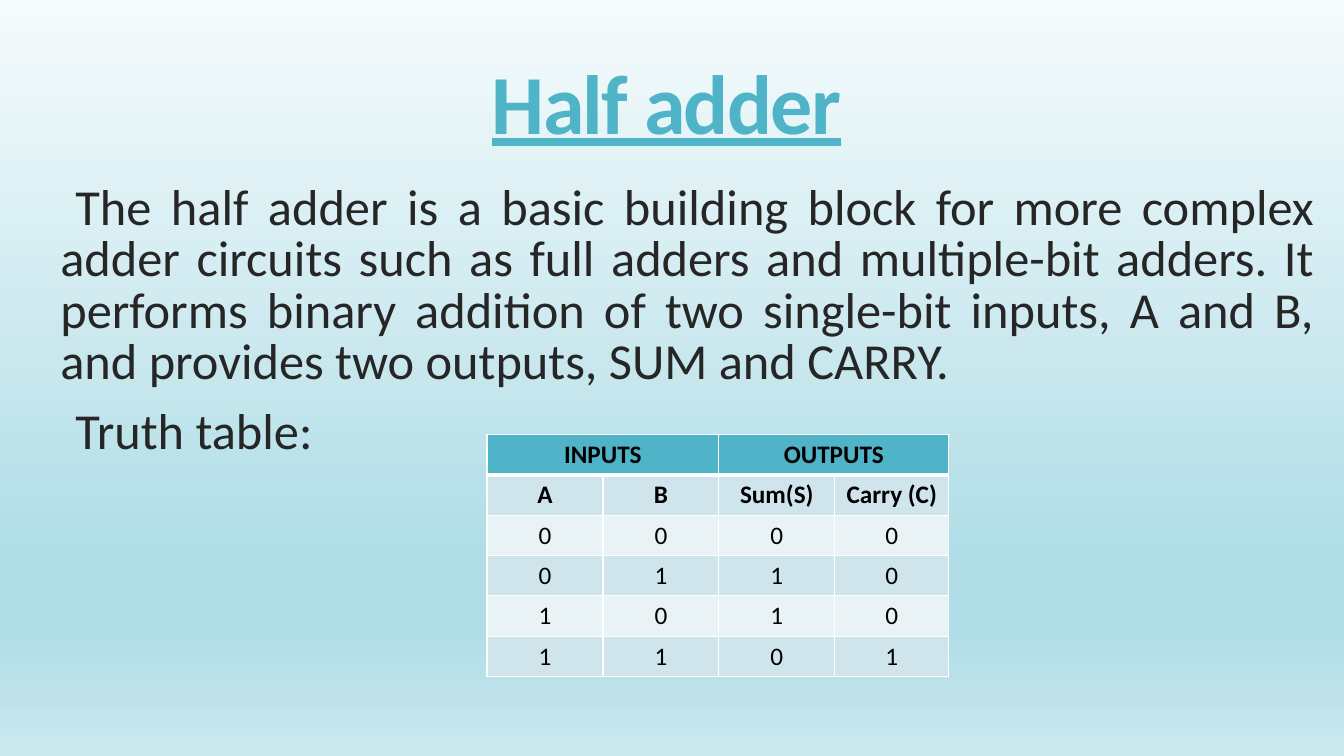
import lxml.etree
import pptx
import pptx.dml.color
import pptx.enum.text
import pptx.oxml.ns
import pptx.util

Inches = pptx.util.Inches
Pt = pptx.util.Pt
qn = pptx.oxml.ns.qn
Align = pptx.enum.text.PP_ALIGN
Anchor = pptx.enum.text.MSO_ANCHOR

COLORS = {
    "accent": "50B4C8",
    "body": "262626",
    "black": "000000",
    "border": "FFFFFF",
    "band_dark": "D0E5EB",
    "band_light": "E9F2F5",
    "sky_top": "F6FBFC",
    "sky_deep": "B0DDE6",
    "sky_bottom": "CBE8EE",
}
SKY = [(0, "sky_top"), (74, "sky_deep"), (83, "sky_deep"), (100, "sky_bottom")]

DEFINITION = (
    "The half adder is a basic building block for more complex adder circuits "
    "such as full adders and multiple-bit adders. It performs binary addition of "
    "two single-bit inputs, A and B, and provides two outputs, SUM and CARRY."
)
TRUTH_TABLE = [
    ["INPUTS", "", "OUTPUTS", ""],
    ["A", "B", "Sum(S)", "Carry (C)"],
    ["0", "0", "0", "0"],
    ["0", "1", "1", "0"],
    ["1", "0", "1", "0"],
    ["1", "1", "0", "1"],
]


class SlideBuilder:
    font_name = "Calibri"

    def __init__(self, slide):
        self.slide = slide

    def add_child(self, parent, tag, **attributes):
        return lxml.etree.SubElement(parent, qn(tag), attributes)

    def background(self, stops):
        """Fill the background from top to bottom with (percent, colour) stops."""
        fill = self.slide.background.fill
        fill.gradient()
        fill.gradient_angle = 270
        stop_list = next(self.slide.element.iter(qn("a:gsLst")))
        for old_stop in list(stop_list):
            stop_list.remove(old_stop)
        for percent, color in stops:
            stop = self.add_child(stop_list, "a:gs", pos=str(percent * 1000))
            self.add_child(stop, "a:srgbClr", val=COLORS[color])

    def run(self, paragraph, text, size, color, bold=False):
        run = paragraph.add_run()
        run.text = text
        run.font.name = self.font_name
        run.font.size = Pt(size)
        run.font.bold = bold
        run.font.color.rgb = pptx.dml.color.RGBColor.from_string(COLORS[color])
        return run

    def text_frame(self, left, top, width, height, anchor):
        box = self.slide.shapes.add_textbox(
            Inches(left), Inches(top), Inches(width), Inches(height))
        frame = box.text_frame
        frame.word_wrap = True
        frame.vertical_anchor = anchor
        return frame

    def title(self, text, *place):
        heading = self.text_frame(*place, Anchor.MIDDLE).paragraphs[0]
        heading.alignment = Align.CENTER
        heading.line_spacing = 0.85
        run = self.run(heading, text, 60, "accent", bold=True)
        run.font.underline = True
        run.font._element.set("spc", "-120")

    def body(self, texts, *place):
        frame = self.text_frame(*place, Anchor.TOP)
        for index, text in enumerate(texts):
            paragraph = frame.add_paragraph() if index else frame.paragraphs[0]
            properties = paragraph._p.get_or_add_pPr()
            properties.set("marL", str(Inches(0.1)))
            properties.set("indent", str(Inches(-0.1)))
            self.add_child(properties, "a:buChar", char=" ")
            paragraph.alignment = Align.JUSTIFY
            paragraph.line_spacing = 0.85
            if index:
                paragraph.space_before = Pt(13)
            self.run(paragraph, text, 36, "body")

    def cell_borders(self, cell, widths):
        properties = cell._tc.get_or_add_tcPr()
        for side, width in zip("LRTB", widths):
            line = self.add_child(properties, "a:ln" + side, w=str(Pt(width)))
            fill = self.add_child(line, "a:solidFill")
            self.add_child(fill, "a:srgbClr", val=COLORS["border"])

    def table(self, rows, left, top, column_widths, row_height):
        frame = self.slide.shapes.add_table(
            len(rows), len(column_widths), Inches(left), Inches(top),
            Inches(sum(column_widths)), Inches(row_height * len(rows)))
        table = frame.table
        table.first_row = table.horz_banding = False
        for column, width in zip(table.columns, column_widths):
            column.width = Inches(width)
        for row_index, row in enumerate(rows):
            table.rows[row_index].height = Inches(row_height)
            band = "band_dark" if row_index % 2 else "band_light"
            fill_color = band if row_index else "accent"
            top_width = 3 if row_index == 1 else 1
            bottom_width = 3 if row_index == 0 else 1
            for column_index, text in enumerate(row):
                cell = table.cell(row_index, column_index)
                self.cell_borders(cell, (1, 1, top_width, bottom_width))
                cell.fill.solid()
                cell.fill.fore_color.rgb = pptx.dml.color.RGBColor.from_string(
                    COLORS[fill_color])
                if text:
                    paragraph = cell.text_frame.paragraphs[0]
                    paragraph.alignment = Align.CENTER
                    self.run(paragraph, text, 18, "black", bold=row_index < 2)
        for first in (0, 2):
            table.cell(0, first).merge(table.cell(0, first + 1))


def main():
    presentation = pptx.Presentation()
    presentation.slide_width = Inches(13.33)
    presentation.slide_height = Inches(7.5)
    builder = SlideBuilder(
        presentation.slides.add_slide(presentation.slide_layouts[6]))
    builder.background(SKY)
    builder.title("Half adder", 0.72, 0.17, 11.78, 1.81)
    builder.body([DEFINITION, "Truth table:"], 0.4, 1.78, 12.74, 5.11)
    builder.table(TRUTH_TABLE, 4.83, 4.31, [1.15, 1.15, 1.15, 1.13], 0.4)
    presentation.save("out.pptx")


if __name__ == "__main__":
    main()
